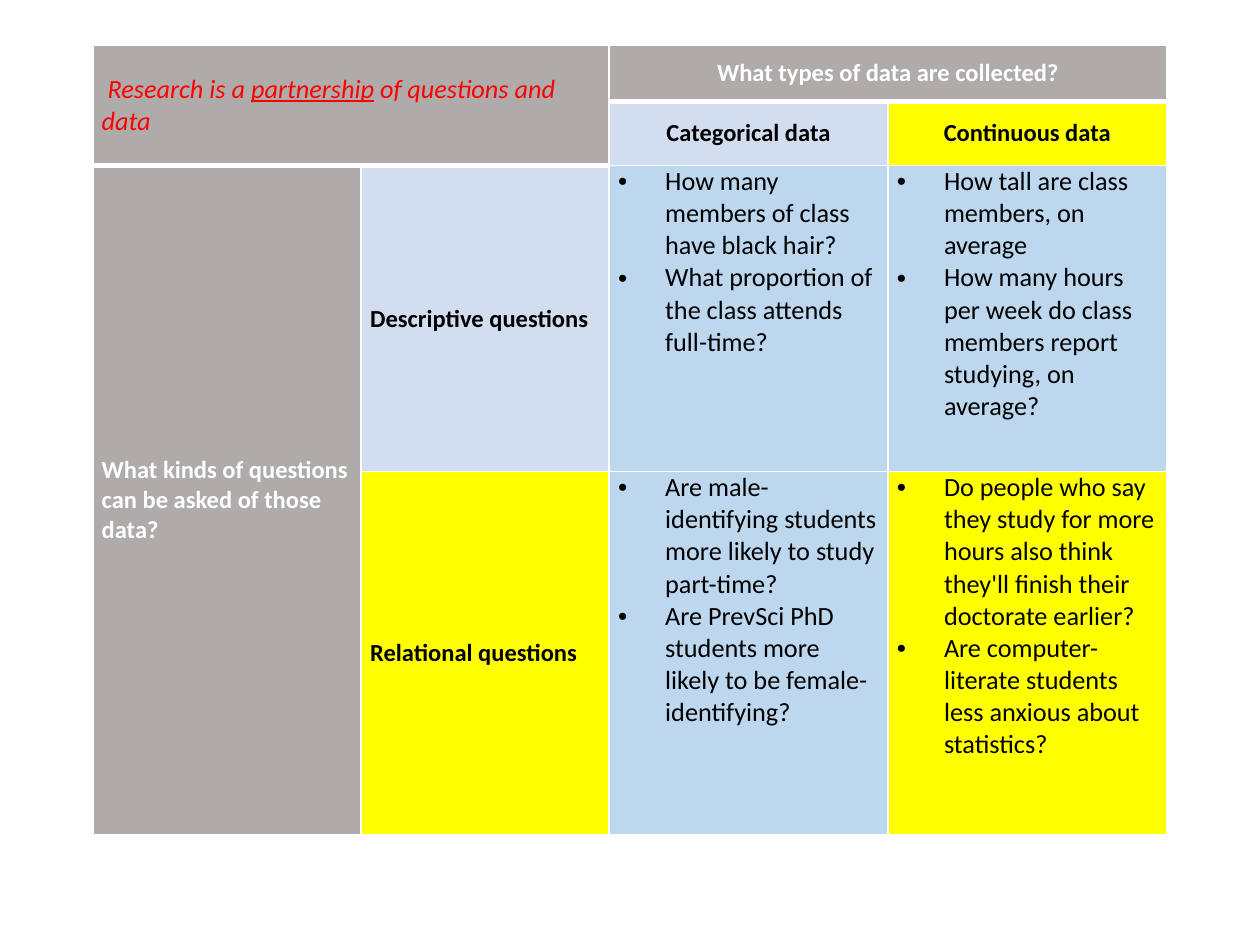
"""Build a slide with a table pairing research questions with types of data."""
from lxml import etree
from pptx import Presentation
from pptx.dml.color import RGBColor
from pptx.enum.text import MSO_ANCHOR, PP_ALIGN
from pptx.oxml.ns import qn
from pptx.util import Cm, Pt

LEFT, CENTER = PP_ALIGN.LEFT, PP_ALIGN.CENTER
TOP, MIDDLE = MSO_ANCHOR.TOP, MSO_ANCHOR.MIDDLE

FONT = "Calibri"
WHITE, BLACK, RED = "FFFFFF", "000000", "FF0000"
GREY, PALE, BLUE, YELLOW = "AFABAB", "D2DEEF", "BDD7EE", "FFFF00"

COLUMN_WIDTHS = (5.41, 5, 5.62, 5.62)
ROW_HEIGHTS = (1.12, 1.12, 6.17, 7.32)
THICK_EDGES = {(1, 2), (1, 3), (2, 0), (2, 1)}

ROLES = {
    "motto": dict(size=15, bold=False, italic=True, color=RED, align=LEFT, anchor=MIDDLE),
    "axis": dict(size=14, bold=True, italic=False, color=WHITE, align=CENTER, anchor=MIDDLE),
    "side axis": dict(size=14, bold=True, italic=False, color=WHITE, align=LEFT, anchor=MIDDLE),
    "data type": dict(size=14, bold=True, italic=False, color=BLACK, align=CENTER, anchor=MIDDLE),
    "question type": dict(size=14, bold=True, italic=False, color=BLACK, align=LEFT, anchor=MIDDLE),
    "examples": dict(size=15, bold=False, italic=False, color=BLACK, align=LEFT, anchor=TOP),
}

CELLS = [
    (0, 0, 2, 2, "motto", GREY, [" Research is a _partnership_ of questions and data"]),
    (0, 2, 1, 2, "axis", GREY, ["What types of data are collected?"]),
    (1, 2, 1, 1, "data type", PALE, ["Categorical data"]),
    (1, 3, 1, 1, "data type", YELLOW, ["Continuous data"]),
    (2, 0, 2, 1, "side axis", GREY, ["What kinds of questions can be asked of those data?"]),
    (2, 1, 1, 1, "question type", PALE, ["Descriptive questions"]),
    (2, 2, 1, 1, "examples", BLUE, [
        "How many members of class have black hair?",
        "What proportion of the class attends full-time?"]),
    (2, 3, 1, 1, "examples", BLUE, [
        "How tall are class members, on average",
        "How many hours per week do class members report studying, on average?"]),
    (3, 1, 1, 1, "question type", YELLOW, ["Relational questions"]),
    (3, 2, 1, 1, "examples", BLUE, [
        "Are male-identifying students more likely to study part-time?",
        "Are PrevSci PhD students more likely to be female-identifying?"]),
    (3, 3, 1, 1, "examples", YELLOW, [
        "Do people who say they study for more hours also think they'll finish their doctorate earlier?",
        "Are computer-literate students less anxious about statistics?"]),
]


def rgb(color):
    return RGBColor.from_string(color)


def add_borders(cell, row, column):
    properties = cell._tc.get_or_add_tcPr()
    top = 3 if (row, column) in THICK_EDGES else 1
    bottom = 3 if (row + 1, column) in THICK_EDGES else 1
    for index, (side, width) in enumerate((("L", 1), ("R", 1), ("T", top), ("B", bottom))):
        line = etree.Element(qn(f"a:ln{side}"), w=str(Pt(width)))
        solid = etree.SubElement(line, qn("a:solidFill"))
        etree.SubElement(solid, qn("a:srgbClr"), val=WHITE)
        properties.insert(index, line)


def add_bullet(paragraph):
    properties = paragraph._p.get_or_add_pPr()
    properties.set("marL", str(Cm(0.95)))
    properties.set("indent", str(-Cm(0.95)))
    etree.SubElement(properties, qn("a:buFont"), typeface="Arial")
    etree.SubElement(properties, qn("a:buChar"), char="•")


def write_paragraph(paragraph, text, role):
    style = ROLES[role]
    paragraph.alignment = style["align"]
    for index, part in enumerate(text.split("_")):
        run = paragraph.add_run()
        run.text = part
        font = run.font
        font.name, font.size = FONT, Pt(style["size"])
        font.bold, font.italic = style["bold"], style["italic"]
        font.underline = index % 2 == 1
        font.color.rgb = rgb(style["color"])
    if role == "examples":
        add_bullet(paragraph)


def fill_cell(cell, role, color, texts):
    cell.fill.solid()
    cell.fill.fore_color.rgb = rgb(color)
    cell.vertical_anchor = ROLES[role]["anchor"]
    cell.margin_left = cell.margin_right = Cm(0.18)
    cell.margin_top = cell.margin_bottom = 0
    frame = cell.text_frame
    for index, text in enumerate(texts):
        paragraph = frame.add_paragraph() if index else frame.paragraphs[0]
        write_paragraph(paragraph, text, role)


def main():
    deck = Presentation()
    deck.slide_width, deck.slide_height = Cm(25.4), Cm(19.05)
    slide = deck.slides.add_slide(deck.slide_layouts[6])
    table = slide.shapes.add_table(
        len(ROW_HEIGHTS), len(COLUMN_WIDTHS), Cm(1.87), Cm(0.92),
        Cm(sum(COLUMN_WIDTHS)), Cm(sum(ROW_HEIGHTS))).table
    for column, width in zip(table.columns, COLUMN_WIDTHS):
        column.width = Cm(width)
    for row, height in zip(table.rows, ROW_HEIGHTS):
        row.height = Cm(height)

    for row, column, height, width, role, color, texts in CELLS:
        cell = table.cell(row, column)
        if height * width > 1:
            cell.merge(table.cell(row + height - 1, column + width - 1))
        fill_cell(cell, role, color, texts)
    for row in range(len(ROW_HEIGHTS)):
        for column in range(len(COLUMN_WIDTHS)):
            add_borders(table.cell(row, column), row, column)
    deck.save("out.pptx")


if __name__ == "__main__":
    main()
